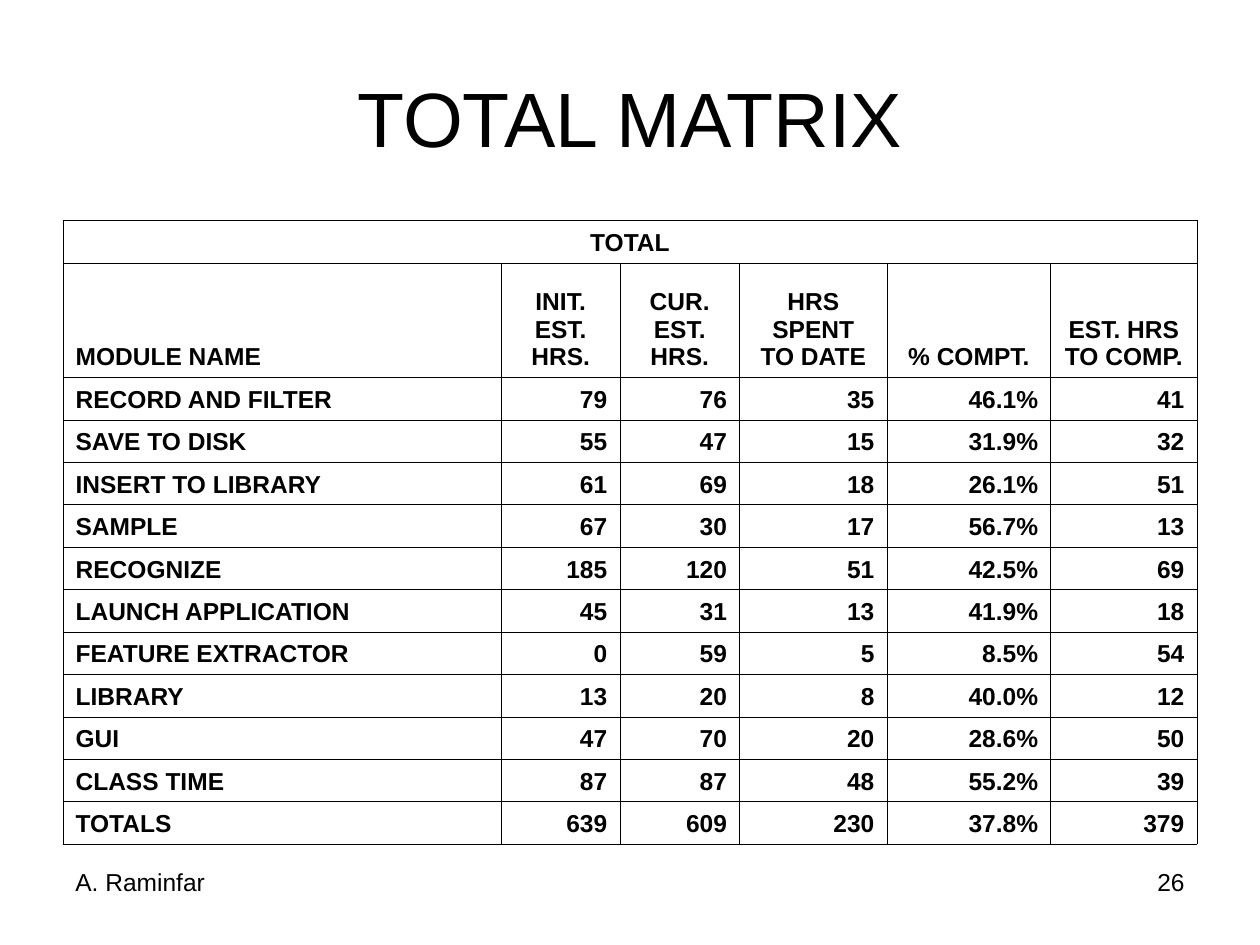
"""Build the TOTAL MATRIX slide: module hours in a bordered table with a footer."""
from lxml import etree
from pptx import Presentation, util as u
from pptx.dml.color import RGBColor
from pptx.enum import text as t
from pptx.oxml import ns

BLACK = RGBColor(0, 0, 0)
FONT = "Arial"
LEFT, CENTER, RIGHT = t.PP_ALIGN.LEFT, t.PP_ALIGN.CENTER, t.PP_ALIGN.RIGHT

TITLE = "TOTAL MATRIX"
CAPTION = "TOTAL"
HEADINGS = ("MODULE NAME", "INIT. EST. HRS.", "CUR. EST. HRS.",
            "HRS SPENT TO DATE", "% COMPT.", "EST. HRS TO COMP.")
MODULES = [
    ("RECORD AND FILTER", "79", "76", "35", "46.1%", "41"),
    ("SAVE TO DISK", "55", "47", "15", "31.9%", "32"),
    ("INSERT TO LIBRARY", "61", "69", "18", "26.1%", "51"),
    ("SAMPLE", "67", "30", "17", "56.7%", "13"),
    ("RECOGNIZE", "185", "120", "51", "42.5%", "69"),
    ("LAUNCH APPLICATION", "45", "31", "13", "41.9%", "18"),
    ("FEATURE EXTRACTOR", "0", "59", "5", "8.5%", "54"),
    ("LIBRARY", "13", "20", "8", "40.0%", "12"),
    ("GUI", "47", "70", "20", "28.6%", "50"),
    ("CLASS TIME", "87", "87", "48", "55.2%", "39"),
    ("TOTALS", "639", "609", "230", "37.8%", "379"),
]
FOOTERS = [("26", 7.17, RIGHT), ("A. Raminfar", 0.5, LEFT)]
COLUMN_WIDTHS = (3.48, 0.94, 0.95, 1.17, 1.3, 1.16)
TABLE_HEIGHT, HEADING_HEIGHT = 4.95, 0.91
BORDER_WIDTH = u.Pt(0.45)


def write(frame, text, size=14, bold=False, align=LEFT):
    paragraph = frame.paragraphs[0]
    paragraph.alignment = align
    run = paragraph.add_run()
    run.text = text
    run.font.name = FONT
    run.font.size = u.Pt(size)
    run.font.bold = bold
    run.font.color.rgb = BLACK


def add_borders(cell):
    properties = cell._tc.get_or_add_tcPr()
    for position, side in enumerate(("lnL", "lnR", "lnT", "lnB")):
        line = etree.Element(ns.qn(f"a:{side}"), w=str(BORDER_WIDTH))
        fill = etree.SubElement(line, ns.qn("a:solidFill"))
        etree.SubElement(fill, ns.qn("a:srgbClr"), val=str(BLACK))
        properties.insert(position, line)


def add_title(slide):
    title = slide.shapes.title
    title.left, title.top = u.Inches(0.5), u.Inches(0.3)
    title.width, title.height = u.Inches(9), u.Inches(1.25)
    title.text_frame.vertical_anchor = t.MSO_ANCHOR.MIDDLE
    write(title.text_frame, TITLE, size=44, align=CENTER)


def add_matrix(slide):
    rows = [(CAPTION,), HEADINGS, *MODULES]
    table = slide.shapes.add_table(
        len(rows), len(HEADINGS), u.Inches(0.5), u.Inches(1.75),
        u.Inches(9), u.Inches(TABLE_HEIGHT)).table
    table.first_row = table.horz_banding = False
    for column, width in zip(table.columns, COLUMN_WIDTHS):
        column.width = u.Inches(width)
    row_height = (TABLE_HEIGHT - HEADING_HEIGHT) / (len(rows) - 1)
    for index, row in enumerate(table.rows):
        row.height = u.Inches(HEADING_HEIGHT if index == 1 else row_height)
    for cell in table.iter_cells():
        cell.fill.background()
        cell.vertical_anchor = t.MSO_ANCHOR.BOTTOM
        add_borders(cell)
    table.cell(0, 0).merge(table.cell(0, len(HEADINGS) - 1))
    for row_index, values in enumerate(rows):
        for column_index, value in enumerate(values):
            if row_index == 0:
                align = CENTER
            elif column_index == 0:
                align = LEFT
            else:
                align = CENTER if row_index == 1 else RIGHT
            write(table.cell(row_index, column_index).text_frame, value,
                  bold=True, align=align)


def add_footers(slide):
    for text, left, align in FOOTERS:
        box = slide.shapes.add_textbox(
            u.Inches(left), u.Inches(6.83), u.Inches(2.33), u.Inches(0.52))
        box.text_frame.word_wrap = True
        write(box.text_frame, text, align=align)


def main():
    presentation = Presentation()
    presentation.slide_width = u.Inches(10)
    presentation.slide_height = u.Inches(7.5)
    slide = presentation.slides.add_slide(
        presentation.slide_layouts.get_by_name("Title Only"))
    add_title(slide)
    add_matrix(slide)
    add_footers(slide)
    presentation.save("out.pptx")


if __name__ == "__main__":
    main()
